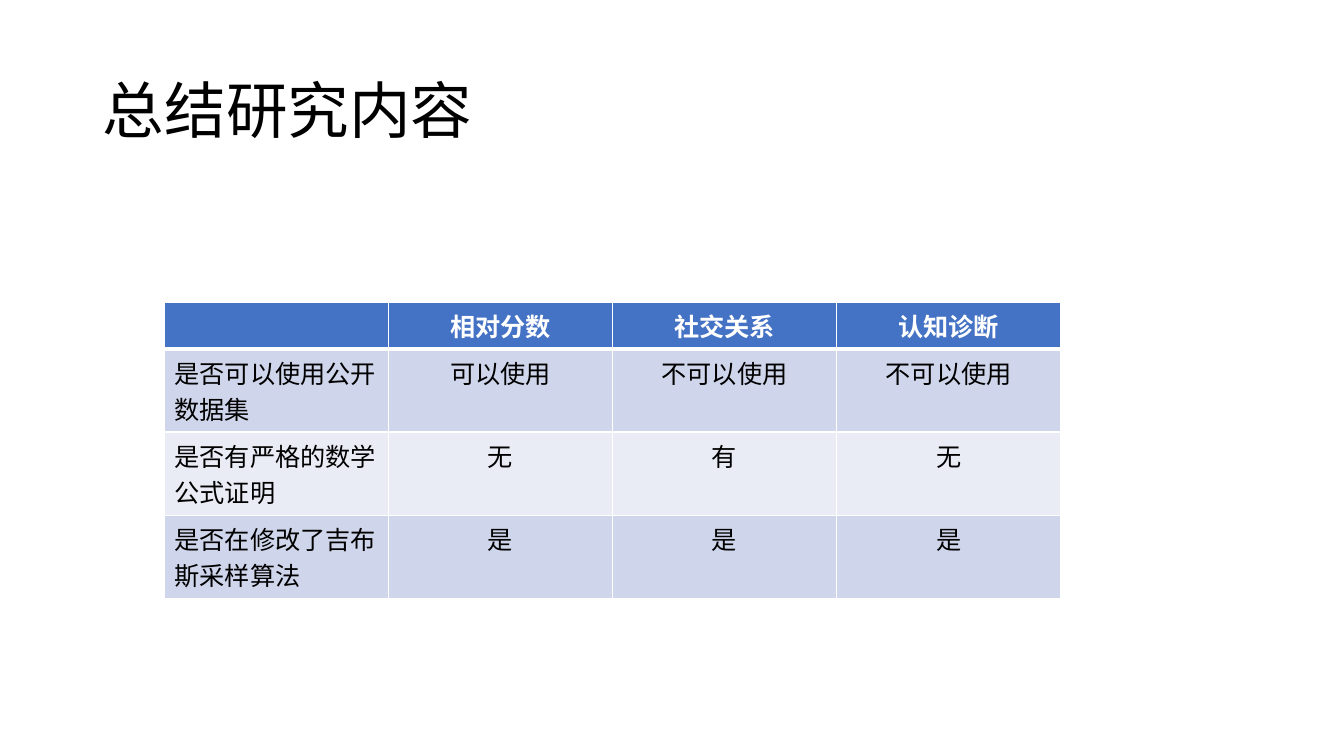
from lxml import etree
from pptx import Presentation
from pptx.dml.color import RGBColor
from pptx.enum.text import MSO_ANCHOR, MSO_AUTO_SIZE, PP_ALIGN
from pptx.oxml.ns import qn
from pptx.util import Inches, Pt

LEFT, CENTER = PP_ALIGN.LEFT, PP_ALIGN.CENTER
MIDDLE, NO_FIT = MSO_ANCHOR.MIDDLE, MSO_AUTO_SIZE.NONE
BLACK = RGBColor(0x00, 0x00, 0x00)
WHITE = RGBColor(0xFF, 0xFF, 0xFF)
BLUE = RGBColor(0x44, 0x72, 0xC4)
BANDS = RGBColor(0xE9, 0xEB, 0xF5), RGBColor(0xCF, 0xD5, 0xEA)
FONT = "Noto Sans CJK SC"
ROWS = [
    ["", "相对分数", "社交关系", "认知诊断"],
    ["是否可以使用公开数据集", "可以使用", "不可以使用", "不可以使用"],
    ["是否有严格的数学公式证明", "无", "有", "无"],
    ["是否在修改了吉布斯采样算法", "是", "是", "是"],
]


def write(frame, text, size=18, color=BLACK, bold=False, align=LEFT, space=None):
    para = frame.paragraphs[0]
    para.alignment = align
    para.line_spacing = space
    run = para.add_run()
    run.text = text
    font = run.font
    font.size, font.bold, font.name = Pt(size), bold, FONT
    font.color.rgb = color
    east = etree.Element(qn("a:ea"), typeface=FONT)
    run._r.get_or_add_rPr().find(qn("a:latin")).addnext(east)


def border(cell, widths):
    props = cell._tc.get_or_add_tcPr()
    for side, width in zip("LRTB", widths):
        line = etree.SubElement(props, qn(f"a:ln{side}"), w=str(Pt(width)))
        fill = etree.SubElement(line, qn("a:solidFill"))
        etree.SubElement(fill, qn("a:srgbClr"), val=str(WHITE))


class Deck:
    """Hold the slide and its style, and add each kind of element."""

    def __init__(self):
        self.show = Presentation()
        self.show.slide_width = Inches(13.33)
        self.show.slide_height = Inches(7.5)
        self.slide = self.show.slides.add_slide(self.show.slide_layouts[5])

    def title(self, text, left, top, width, height):
        shape = self.slide.shapes.title
        shape.left, shape.top = Inches(left), Inches(top)
        shape.width, shape.height = Inches(width), Inches(height)
        frame = shape.text_frame
        frame.auto_size, frame.vertical_anchor = NO_FIT, MIDDLE
        frame.word_wrap = True
        write(frame, text, size=44, space=0.9)

    def table(self, rows, left, top, width, height):
        table = self.slide.shapes.add_table(
            len(rows), len(rows[0]), Inches(left), Inches(top),
            Inches(width), Inches(height)).table
        for r, row in enumerate(rows):
            head = r == 0
            for c, text in enumerate(row):
                cell = table.cell(r, c)
                border(cell, (1, 1, 3 if r == 1 else 1, 3 if head else 1))
                cell.fill.solid()
                cell.fill.fore_color.rgb = BLUE if head else BANDS[r % 2]
                if text:
                    write(cell.text_frame, text, bold=head,
                          color=WHITE if head else BLACK,
                          align=CENTER if c else LEFT)


def main():
    deck = Deck()
    deck.title("总结研究内容", 0.92, 0.4, 11.5, 1.45)
    deck.table(ROWS, 1.63, 3, 8.89, 1.64)
    deck.show.save("out.pptx")


if __name__ == "__main__":
    main()
